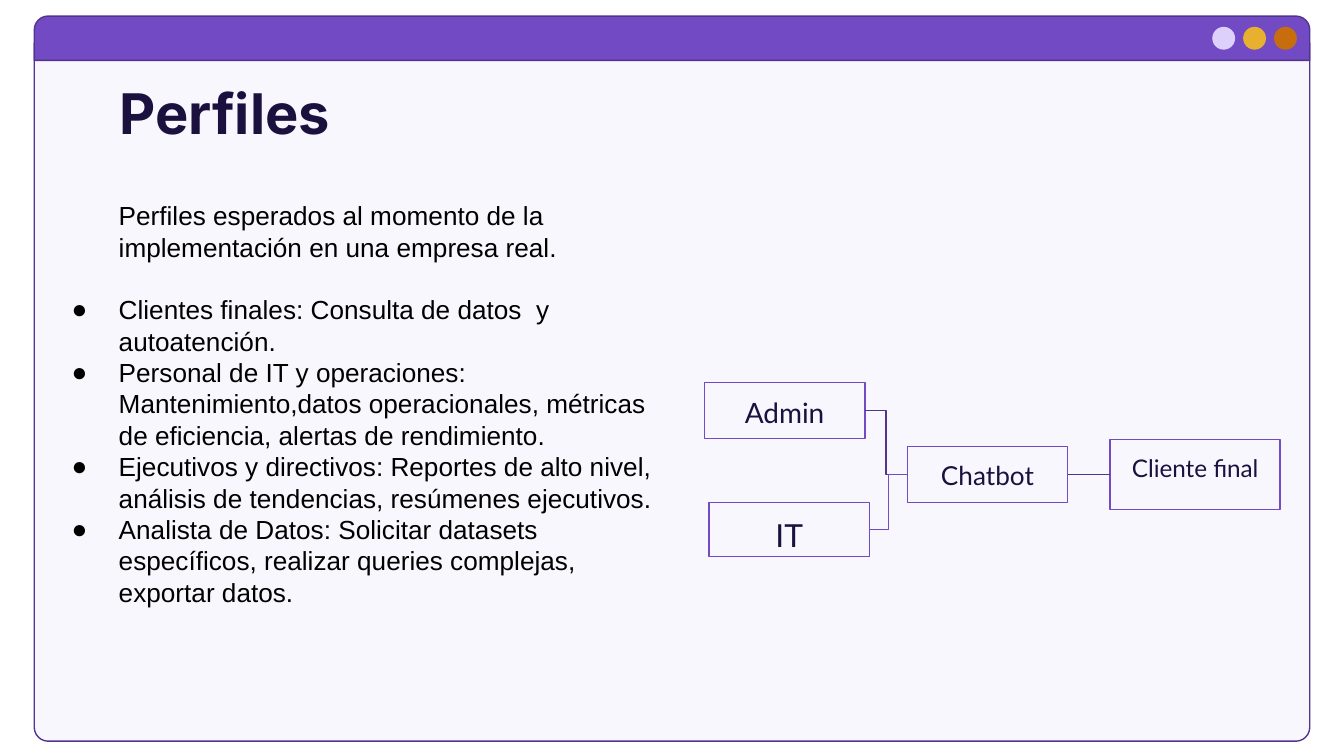
from typing import NamedTuple

from lxml.etree import SubElement
from pptx import Presentation
from pptx.dml.color import RGBColor
from pptx.enum.shapes import MSO_CONNECTOR, MSO_SHAPE
from pptx.enum.text import MSO_ANCHOR, PP_ALIGN
from pptx.oxml.ns import qn
from pptx.util import Emu, Pt

SCALE = 4572
COLORS = {
    "panel": "DDD0FB",
    "bar": "724AC3",
    "edge": "52348F",
    "gold": "E7B02F",
    "rust": "C76D0D",
    "ink": "1A113F",
    "black": "000000",
}
LEAD = 16.8
INTRO = "Perfiles esperados al momento de la implementación en una empresa real."
ITEMS = [
    "Clientes finales: Consulta de datos  y autoatención.",
    "Personal de IT y operaciones: Mantenimiento,datos operacionales, métricas de eficiencia, alertas de rendimiento.",
    "Ejecutivos y directivos: Reportes de alto nivel, análisis de tendencias, resúmenes ejecutivos.",
    "Analista de Datos: Solicitar datasets específicos, realizar queries complejas, exportar datos.",
]


class Rect(NamedTuple):
    left: int
    top: int
    width: int
    height: int


class Node(NamedTuple):
    text: str
    rect: Rect
    size: int


class Link(NamedTuple):
    start: str
    exit: int
    end: str
    entry: int
    kind: MSO_CONNECTOR
    color: str


NODES = [
    Node("Chatbot", Rect(1350, 664, 239, 84), 14),
    Node("Cliente final", Rect(1652, 654, 253, 104), 13),
    Node("Admin", Rect(1048, 569, 239, 84), 15),
    Node("IT", Rect(1055, 748, 239, 80), 17),
]
LINKS = [
    Link("Admin", 3, "Chatbot", 1, MSO_CONNECTOR.ELBOW, "edge"),
    Link("Chatbot", 3, "Cliente final", 1, MSO_CONNECTOR.STRAIGHT, "edge"),
    Link("Chatbot", 1, "IT", 3, MSO_CONNECTOR.ELBOW, "bar"),
]


def px(count: int) -> Emu:
    return Emu(count * SCALE)


def place(rect: Rect) -> list[Emu]:
    return [px(side) for side in rect]


def tint(name: str) -> RGBColor:
    return RGBColor.from_string(COLORS[name])


def style(font, name: str, size: int, color: str, bold: bool = False) -> None:
    font.name = name
    font.size = Pt(size)
    font.bold = bold
    font.color.rgb = tint(color)


def setup(frame) -> None:
    frame.word_wrap = True
    frame.vertical_anchor = MSO_ANCHOR.TOP
    frame.margin_left = frame.margin_right = px(20)
    frame.margin_top = frame.margin_bottom = px(20)


def draw(slide, kind: MSO_SHAPE, rect: Rect, fill: str = "", line: str = ""):
    shape = slide.shapes.add_shape(kind, *place(rect))
    shape.shadow.inherit = False
    if fill:
        shape.fill.solid()
        shape.fill.fore_color.rgb = tint(fill)
    else:
        shape.fill.background()
    if line:
        shape.line.color.rgb = tint(line)
        shape.line.width = Pt(0.75)
    else:
        shape.line.fill.background()
    return shape


def frame(slide) -> None:
    kind = MSO_SHAPE.ROUND_2_SAME_RECTANGLE
    panel = draw(slide, kind, Rect(51, 64, 1898, 1039), "panel", "edge")
    panel.adjustments[0] = 0
    panel.adjustments[1] = 0.02
    color = panel.fill._xPr.find(qn("a:solidFill"))[0]
    SubElement(color, qn("a:alpha"), val="15000")
    bar = draw(slide, kind, Rect(51, 24, 1898, 66), "bar", "edge")
    bar.adjustments[0] = 0.31
    for step, fill in enumerate(["panel", "gold", "rust"]):
        draw(slide, MSO_SHAPE.OVAL, Rect(1804 + 46 * step, 40, 34, 34), fill)


def title(slide) -> None:
    text = slide.shapes.add_textbox(*place(Rect(158, 97, 1686, 126))).text_frame
    setup(text)
    text.text = "Perfiles"
    style(text.paragraphs[0].runs[0].font, "Inter", 30, "ink", True)


def bullet(para) -> None:
    props = para._p.get_or_add_pPr()
    props.set("indent", str(px(-70)))
    color = SubElement(props, qn("a:buClr"))
    SubElement(color, qn("a:srgbClr"), val=COLORS["black"])
    SubElement(props, qn("a:buFont"), typeface="Arial")
    SubElement(props, qn("a:buChar"), char="●")


def body(slide) -> None:
    text = slide.shapes.add_textbox(*place(Rect(57, 277, 942, 748))).text_frame
    setup(text)
    text.text = "\n".join([INTRO, *ITEMS])
    for index, para in enumerate(text.paragraphs):
        para._p.get_or_add_pPr().set("marL", str(px(100)))
        if index:
            bullet(para)
        para.line_spacing = Pt(LEAD)
        style(para.runs[0].font, "Arial", 14, "black")
    text.paragraphs[1].space_before = Pt(LEAD)


def box(slide, node: Node):
    shape = draw(slide, MSO_SHAPE.RECTANGLE, node.rect, line="bar")
    text = shape.text_frame
    setup(text)
    text.text = node.text
    para = text.paragraphs[0]
    para.alignment = PP_ALIGN.CENTER
    style(para.runs[0].font, "Lato", node.size, "ink")
    return shape


def join(slide, link: Link, boxes: dict) -> None:
    wire = slide.shapes.add_connector(link.kind, 0, 0, 0, 0)
    wire.begin_connect(boxes[link.start], link.exit)
    wire.end_connect(boxes[link.end], link.entry)
    wire.line.color.rgb = tint(link.color)
    wire.line.width = Pt(0.75)
    SubElement(wire._element.spPr, qn("a:effectLst"))


def main() -> None:
    deck = Presentation()
    deck.slide_width = px(2000)
    deck.slide_height = px(1125)
    slide = deck.slides.add_slide(deck.slide_layouts[6])
    frame(slide)
    title(slide)
    body(slide)
    boxes = {node.text: box(slide, node) for node in NODES}
    for link in LINKS:
        join(slide, link, boxes)
    deck.save("out.pptx")


if __name__ == "__main__":
    main()
